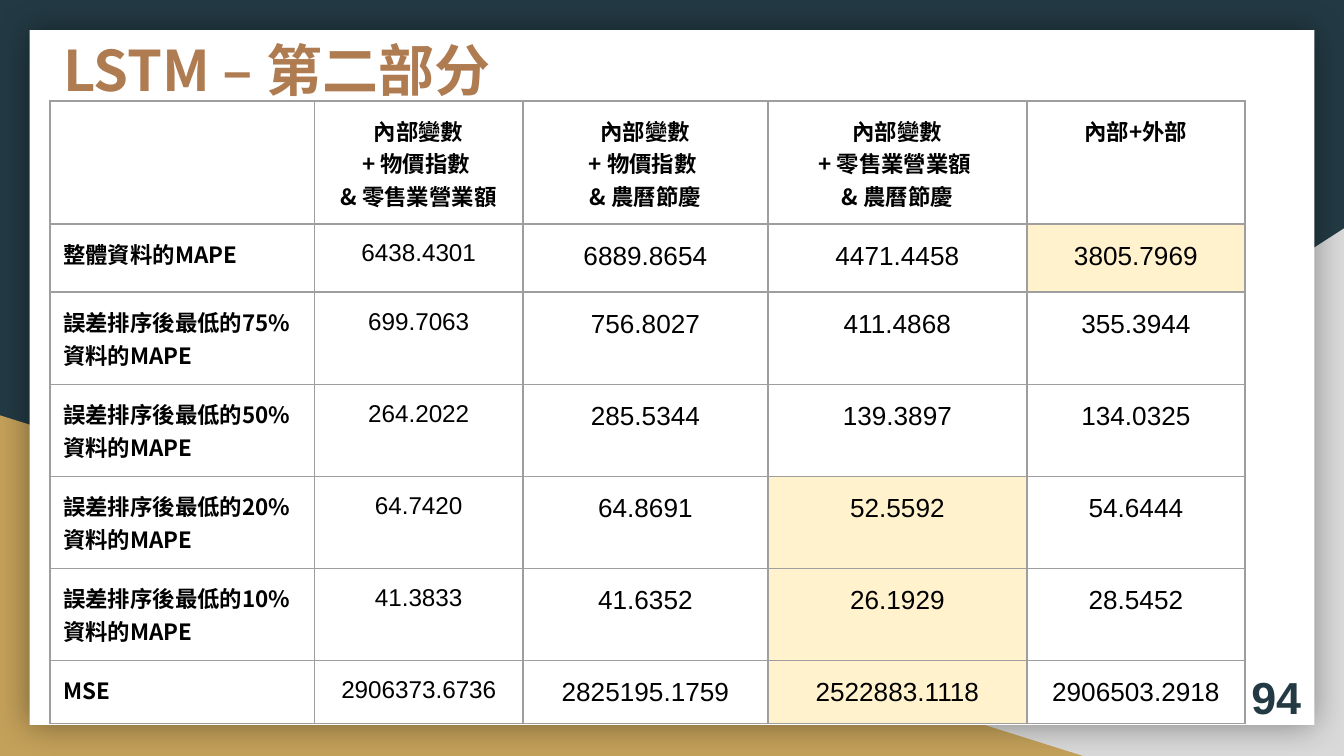
"""Build the slide that compares LSTM errors across sets of input variables."""
from dataclasses import dataclass

from lxml.etree import SubElement
from pptx import Presentation
from pptx.dml.color import RGBColor
from pptx.enum.shapes import MSO_SHAPE
from pptx.enum.text import MSO_ANCHOR, MSO_AUTO_SIZE, PP_ALIGN
from pptx.oxml.ns import qn
from pptx.util import Pt

EMU_PER_PX = 4572
COLORS = {
    "navy": "233A44",
    "gray": "D9D9D9",
    "gold": "C4A15A",
    "white": "FFFFFF",
    "black": "000000",
    "bronze": "AF7B51",
    "border": "9E9E9E",
    "best": "FFF2CC",
}
CJK_FONT = "Noto Sans CJK TC"
NUMBER_FONT = "Arial"


@dataclass(frozen=True)
class Box:
    left: int
    top: int
    width: int
    height: int

    def emu(self) -> tuple[int, ...]:
        return tuple(px(side) for side in (self.left, self.top, self.width, self.height))


@dataclass(frozen=True)
class Panel:
    kind: MSO_SHAPE
    box: Box
    color: str
    flipped: bool = False
    shadowed: bool = False


@dataclass(frozen=True)
class TextStyle:
    font: str
    size: int
    color: str = "black"
    bold: bool = False
    align: PP_ALIGN = PP_ALIGN.LEFT
    spacing: float = 1.0


@dataclass(frozen=True)
class Metric:
    label: str
    values: tuple[str, ...]
    height: int
    best: int | None = None


PANELS = (
    Panel(MSO_SHAPE.RIGHT_TRIANGLE, Box(784, 340, 1216, 785), "gray", flipped=True),
    Panel(MSO_SHAPE.RIGHT_TRIANGLE, Box(0, 618, 1612, 507), "gold"),
    Panel(MSO_SHAPE.RECTANGLE, Box(44, 45, 1912, 1034), "white", shadowed=True),
)
TITLE_STYLE = TextStyle(CJK_FONT, 30, "bronze", True)
PAGE_STYLE = TextStyle(NUMBER_FONT, 24, "navy", True, PP_ALIGN.RIGHT)
HEADER_STYLE = TextStyle(CJK_FONT, 12, bold=True, align=PP_ALIGN.CENTER)
LABEL_STYLE = TextStyle(CJK_FONT, 12, bold=True)
FIRST_VALUE_STYLE = TextStyle(NUMBER_FONT, 13, align=PP_ALIGN.CENTER, spacing=1.15)
VALUE_STYLE = TextStyle(NUMBER_FONT, 14, align=PP_ALIGN.CENTER, spacing=1.15)

TABLE_BOX = Box(74, 150, 1779, 914)
COLUMN_WIDTHS = (394, 310, 365, 385, 325)
HEADER_HEIGHT = 183
HEADERS = (
    "",
    "內部變數\n+ 物價指數 \n& 零售業營業額",
    "內部變數\n+ 物價指數 \n& 農曆節慶",
    "內部變數\n+ 零售業營業額 \n& 農曆節慶",
    "內部+外部",
)
METRICS = (
    Metric("整體資料的MAPE", ("6438.4301", "6889.8654", "4471.4458", "3805.7969"), 102, 4),
    Metric("誤差排序後最低的75%資料的MAPE", ("699.7063", "756.8027", "411.4868", "355.3944"), 137),
    Metric("誤差排序後最低的50%資料的MAPE", ("264.2022", "285.5344", "139.3897", "134.0325"), 137),
    Metric("誤差排序後最低的20%資料的MAPE", ("64.7420", "64.8691", "52.5592", "54.6444"), 137, 3),
    Metric("誤差排序後最低的10%資料的MAPE", ("41.3833", "41.6352", "26.1929", "28.5452"), 137, 3),
    Metric("MSE", ("2906373.6736", "2825195.1759", "2522883.1118", "2906503.2918"), 82, 3),
)


def px(length: int) -> int:
    return length * EMU_PER_PX


def rgb(color: str) -> RGBColor:
    return RGBColor.from_string(COLORS[color])


def write_text(frame, text: str, style: TextStyle) -> None:
    frame.text = text
    for paragraph in frame.paragraphs:
        paragraph.alignment = style.align
        paragraph.line_spacing = style.spacing
        font = paragraph.font
        font.name = style.font
        font.size = Pt(style.size)
        font.bold = style.bold
        font.color.rgb = rgb(style.color)
        defaults = paragraph._p.pPr.find(qn("a:defRPr"))
        SubElement(defaults, qn("a:ea"), typeface=style.font)


def set_margins(target, margin: int) -> None:
    target.margin_left = target.margin_right = px(margin)
    target.margin_top = target.margin_bottom = px(margin)


def draw_panel(page, panel: Panel) -> None:
    shape = page.shapes.add_shape(panel.kind, *panel.box.emu())
    shape.shadow.inherit = False
    shape.fill.solid()
    shape.fill.fore_color.rgb = rgb(panel.color)
    shape.line.fill.background()
    properties = shape.element.spPr
    if panel.flipped:
        properties.find(qn("a:xfrm")).set("flipH", "1")
    if panel.shadowed:
        effects = properties.find(qn("a:effectLst"))
        shadow = SubElement(effects, qn("a:outerShdw"), blurRad=str(Pt(18)), algn="ctr", rotWithShape="0")
        tint = SubElement(shadow, qn("a:srgbClr"), val=COLORS["black"])
        SubElement(tint, qn("a:alpha"), val="40000")


def draw_title(page, text: str) -> None:
    title = page.shapes.title
    title.element.getparent().append(title.element)
    title.left, title.top, title.width, title.height = Box(74, 33, 1778, 164).emu()
    frame = title.text_frame
    frame.auto_size = MSO_AUTO_SIZE.NONE
    frame.vertical_anchor = MSO_ANCHOR.TOP
    set_margins(frame, 20)
    write_text(frame, text, TITLE_STYLE)


def draw_page_number(page, text: str) -> None:
    frame = page.shapes.add_textbox(*Box(1836, 994, 120, 86).emu()).text_frame
    frame.word_wrap = True
    frame.vertical_anchor = MSO_ANCHOR.MIDDLE
    set_margins(frame, 20)
    write_text(frame, text, PAGE_STYLE)


def fill_cell(cell, text: str, style: TextStyle, color: str = "white") -> None:
    set_margins(cell, 18 if style == FIRST_VALUE_STYLE else 20)
    write_text(cell.text_frame, text, style)
    properties = cell._tc.get_or_add_tcPr()
    for side in ("lnL", "lnR", "lnT", "lnB"):
        border = SubElement(properties, qn(f"a:{side}"), w=str(Pt(1)))
        SubElement(SubElement(border, qn("a:solidFill")), qn("a:srgbClr"), val=COLORS["border"])
    cell.fill.solid()
    cell.fill.fore_color.rgb = rgb(color)


def draw_table(page) -> None:
    frame = page.shapes.add_table(len(METRICS) + 1, len(HEADERS), *TABLE_BOX.emu())
    table = frame.table
    table.first_row = table.horz_banding = False
    for column, width in zip(table.columns, COLUMN_WIDTHS):
        column.width = px(width)
    table.rows[0].height = px(HEADER_HEIGHT)
    for column, header in enumerate(HEADERS):
        fill_cell(table.cell(0, column), header, HEADER_STYLE)
    for row, metric in enumerate(METRICS, start=1):
        table.rows[row].height = px(metric.height)
        fill_cell(table.cell(row, 0), metric.label, LABEL_STYLE)
        for column, value in enumerate(metric.values, start=1):
            style = FIRST_VALUE_STYLE if column == 1 else VALUE_STYLE
            color = "best" if column == metric.best else "white"
            fill_cell(table.cell(row, column), value, style, color)


def main() -> None:
    deck = Presentation()
    deck.slide_width, deck.slide_height = px(2000), px(1125)
    page = deck.slides.add_slide(deck.slide_layouts[5])
    page.background.fill.solid()
    page.background.fill.fore_color.rgb = rgb("navy")
    for panel in PANELS:
        draw_panel(page, panel)
    draw_title(page, "LSTM – 第二部分")
    draw_page_number(page, "94")
    draw_table(page)
    deck.save("out.pptx")


if __name__ == "__main__":
    main()
